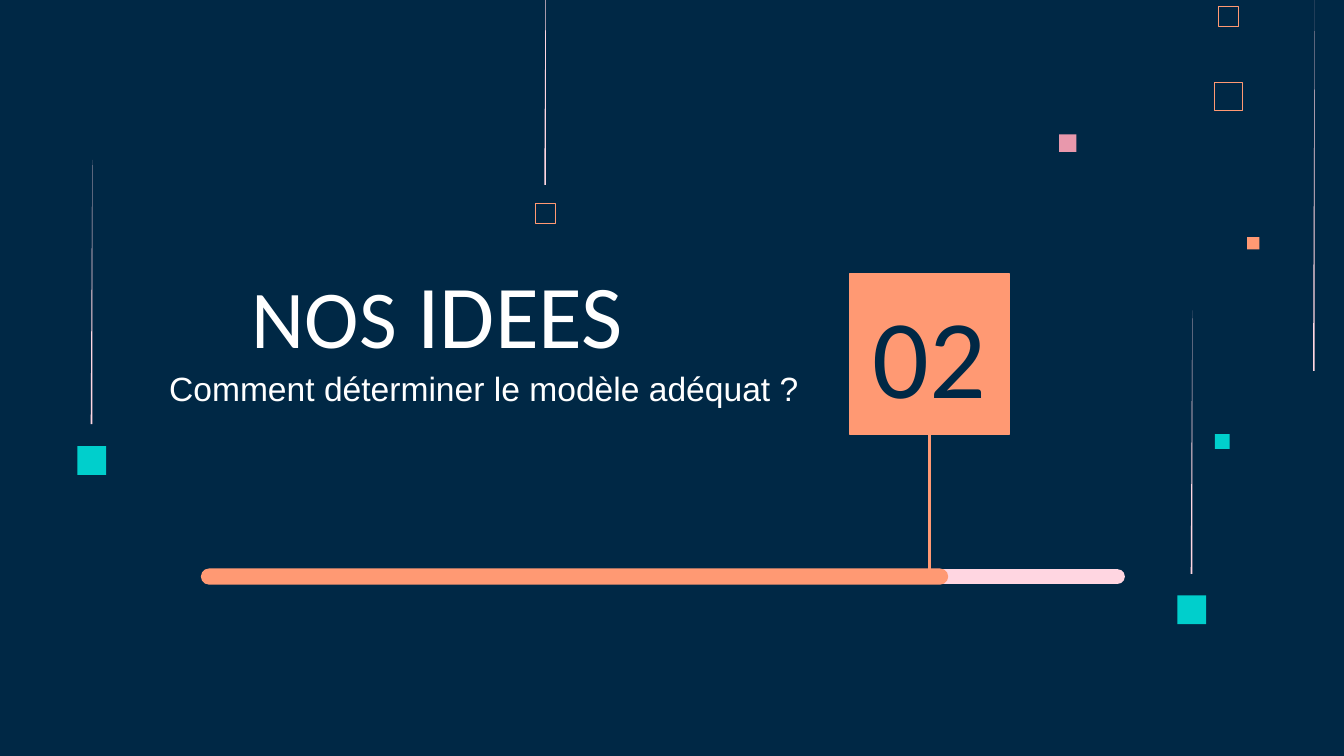
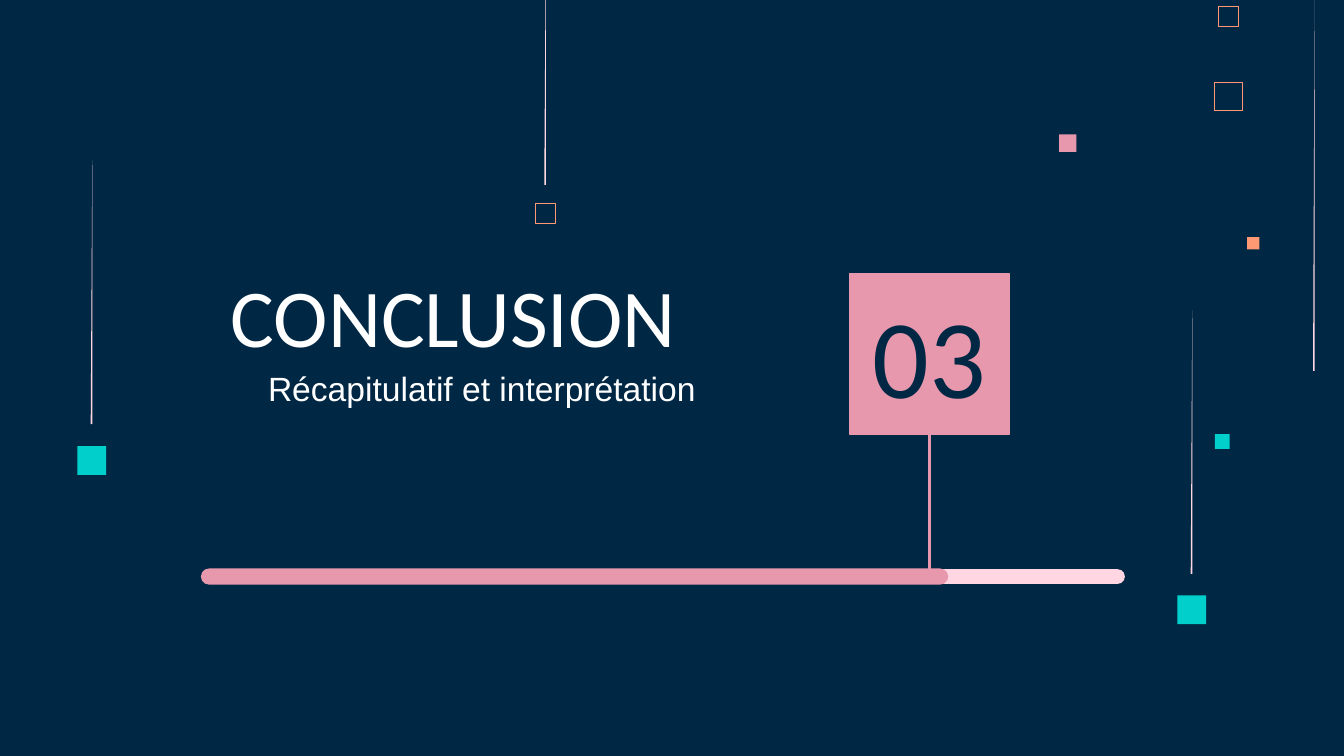
"""Build two section slides with a progress bar, a section number and scattered squares."""
from lxml import etree
from pptx import Presentation
from pptx import util as u
from pptx.dml.color import RGBColor
from pptx.enum import shapes, text
from pptx.oxml import ns

NAVY = RGBColor(0x00, 0x28, 0x45)
WHITE = RGBColor(0xFF, 0xFF, 0xFF)
ORANGE = RGBColor(0xFF, 0x99, 0x73)
ROSE = RGBColor(0xE8, 0x98, 0xAC)
PALE_PINK = RGBColor(0xFF, 0xD6, 0xE1)
TEAL = RGBColor(0x00, 0xCF, 0xCC)

deck = Presentation()
deck.slide_width, deck.slide_height = u.Inches(10), u.Inches(5.625)
COLUMN = deck.slide_width / 100


def grid(*cells):
    """Turn counts of grid columns (a hundredth of the slide width) into lengths."""
    return [u.Emu(round(cell * COLUMN)) for cell in cells]


def write(slide, runs, cells, size=44, font="Calibri", color=WHITE, anchor=text.MSO_ANCHOR.TOP):
    """Write centred runs, each a wording with an optional size of its own."""
    box = slide.shapes.add_textbox(*grid(*cells))
    frame = box.text_frame
    frame.word_wrap = True
    frame.vertical_anchor = anchor
    frame.margin_left, frame.margin_top, frame.margin_right, frame.margin_bottom = grid(1, 1, 1, 1)
    paragraph = frame.paragraphs[0]
    paragraph.alignment = text.PP_ALIGN.CENTER
    for wording, own_size in runs:
        run = paragraph.add_run()
        run.text = wording
        run.font.name = font
        run.font.size = u.Pt(own_size or size)
        run.font.color.rgb = color


RECT = shapes.MSO_SHAPE.RECTANGLE
PILL = shapes.MSO_SHAPE.ROUNDED_RECTANGLE

# Left, top, side, fill, outline, outline width
SQUARES = [
    (78.8, 10, 1.3, ROSE, None, 0),
    (90.4, 32.3, 1.1, TEAL, None, 0),
    (90.35, 6.1, 2.1, None, ORANGE, 0.45),
    (90.65, 0.45, 1.5, None, ORANGE, 0.32),
    (92.8, 17.65, 0.9, ORANGE, None, 0),
    (39.85, 15.1, 1.5, None, ORANGE, 0.32),
    (87.6, 44.3, 2.15, TEAL, None, 0),
    (5.75, 33.2, 2.15, TEAL, None, 0),
]
STREAKS = [(40.5, -4.8, 18.55), (97.7, 0, 27.6), (88.6, 23.1, 19.6), (6.75, 11.9, 19.65)]
STREAK_WIDTH = 0.12

SECTIONS = [
    ("02", ORANGE, [("NOS", None), (" IDEES", 48)], (1.8, 19.1, 61.5, 9.2),
     "Comment déterminer le modèle adéquat ?", (8.8, 26.4, 54.4, 11.5)),
    ("03", ROSE, [("CONCLUSION", None)], (16, 19, 35.5, 9.1),
     "Récapitulatif et interprétation", (17.4, 26.4, 36.9, 5.1)),
]

for number, accent, title, title_cells, subtitle, subtitle_cells in SECTIONS:
    slide = deck.slides.add_slide(deck.slide_layouts[6])
    slide.background.fill.solid()
    slide.background.fill.fore_color.rgb = NAVY

    for left, top, length in STREAKS:
        right, bottom = left + STREAK_WIDTH, top + length
        outline = slide.shapes.build_freeform(*grid(right, top))
        outline.add_line_segments([grid(left, bottom), grid(right, bottom)], close=True)
        streak = outline.convert_to_shape()
        streak.shadow.inherit = False
        streak.fill.solid()
        streak.fill.fore_color.rgb = PALE_PINK
        streak.line.fill.background()

    parts = [(RECT, (left, top, side, side), fill, edge, width)
             for left, top, side, fill, edge, width in SQUARES]
    parts += [
        (RECT, (63.2, 20.4, 11.9, 11.9), accent, accent, 0.75),
        (PILL, (15, 42.35, 68.7, 1.1), PALE_PINK, None, 0),
        (PILL, (15, 42.35, 55.5, 1.1), accent, accent, 0.75),
    ]
    for preset, cells, fill, edge, width in parts:
        part = slide.shapes.add_shape(preset, *grid(*cells))
        part.shadow.inherit = False
        if preset == PILL:
            part.adjustments[0] = 0.5
        if fill is None:
            part.fill.background()
        else:
            part.fill.solid()
            part.fill.fore_color.rgb = fill
        if edge is None:
            part.line.fill.background()
        else:
            part.line.color.rgb = edge
            part.line.width = u.Pt(width)

    stem = slide.shapes.add_connector(shapes.MSO_CONNECTOR.STRAIGHT, *grid(69.15, 32.3, 69.15, 43))
    stem.line.color.rgb = accent
    stem.line.width = u.Pt(1.5)
    etree.SubElement(stem._element.spPr, ns.qn("a:effectLst"))

    write(slide, title, title_cells, anchor=text.MSO_ANCHOR.BOTTOM)
    write(slide, [(subtitle, None)], subtitle_cells, size=18, font="Arial")
    write(slide, [(number, None)], (63.8, 23.2, 10.7, 6.3), size=60, color=NAVY,
          anchor=text.MSO_ANCHOR.MIDDLE)

deck.save("out.pptx")
